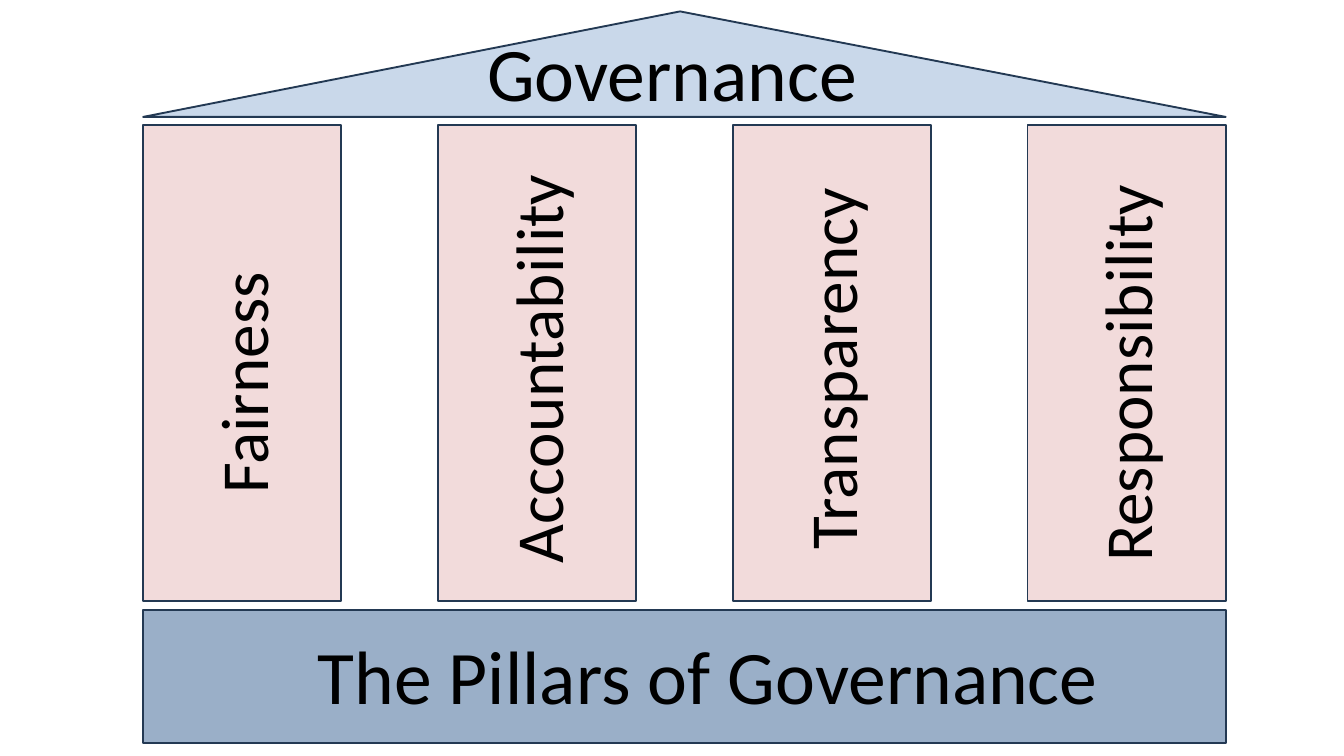
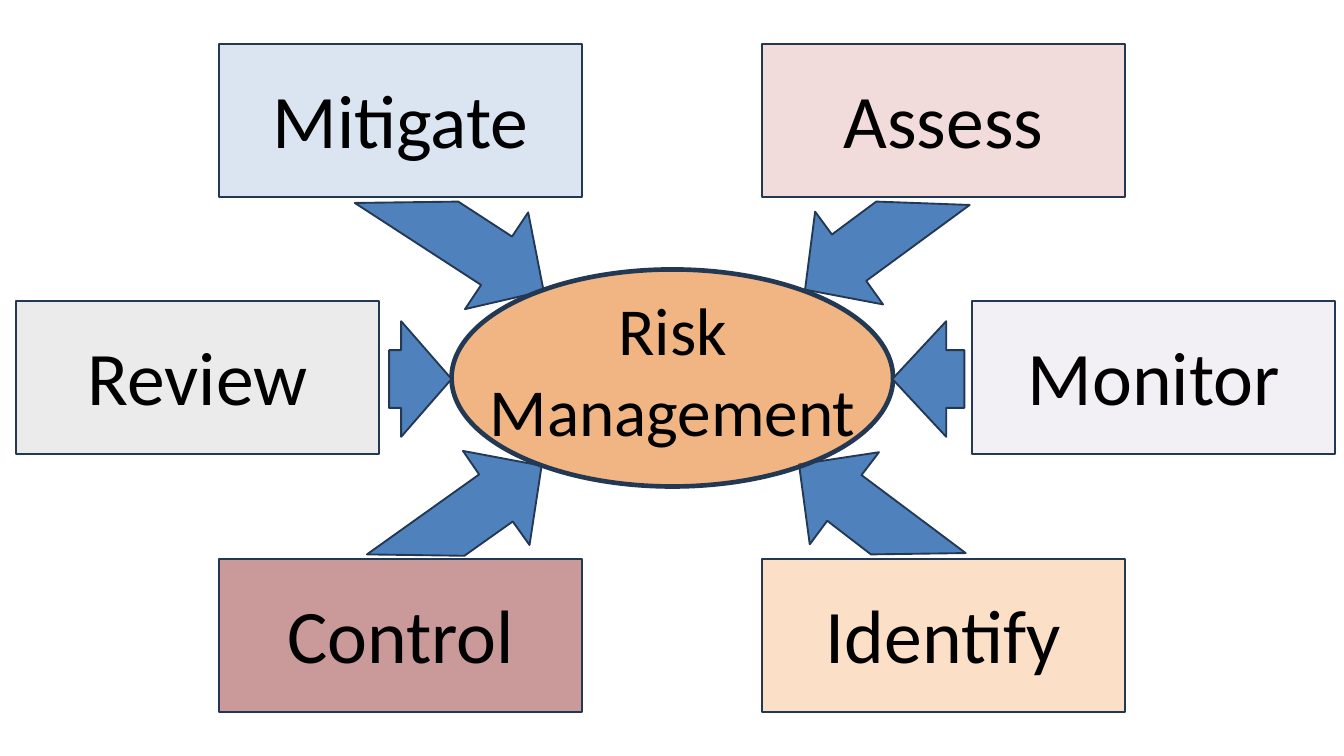
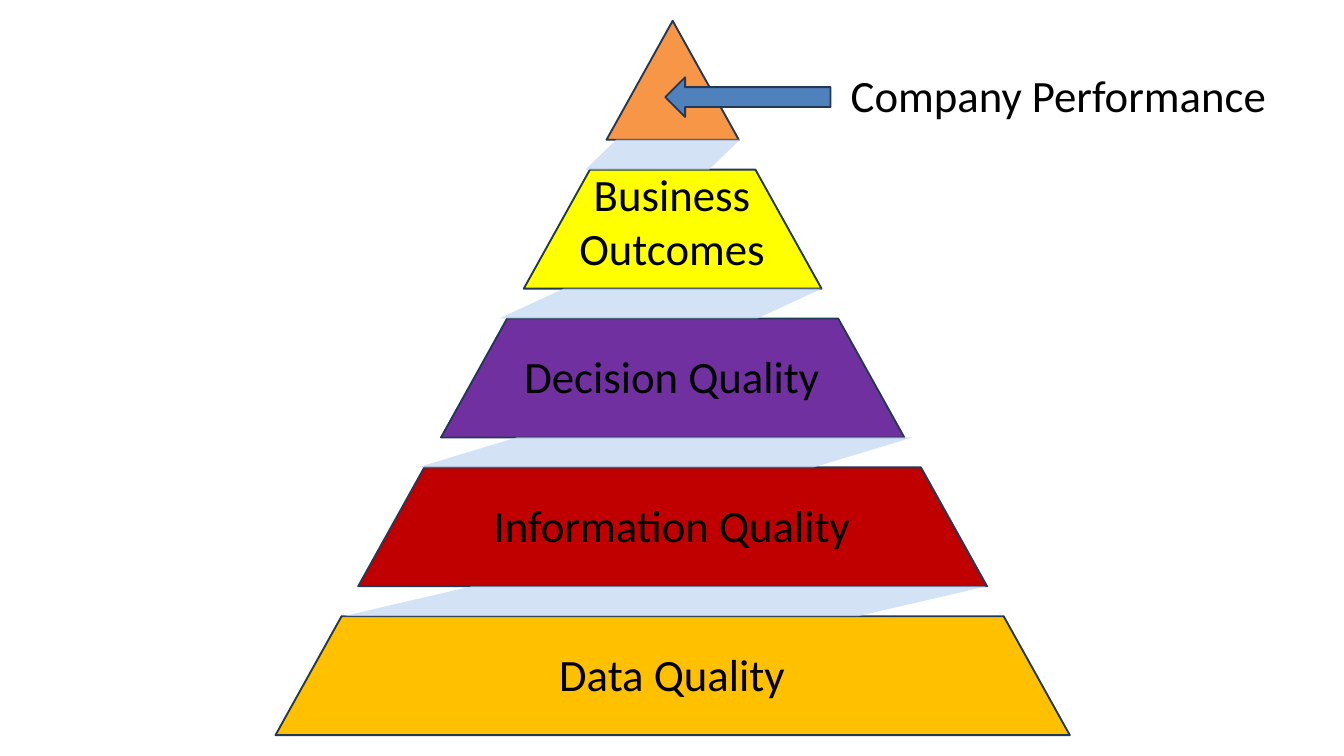
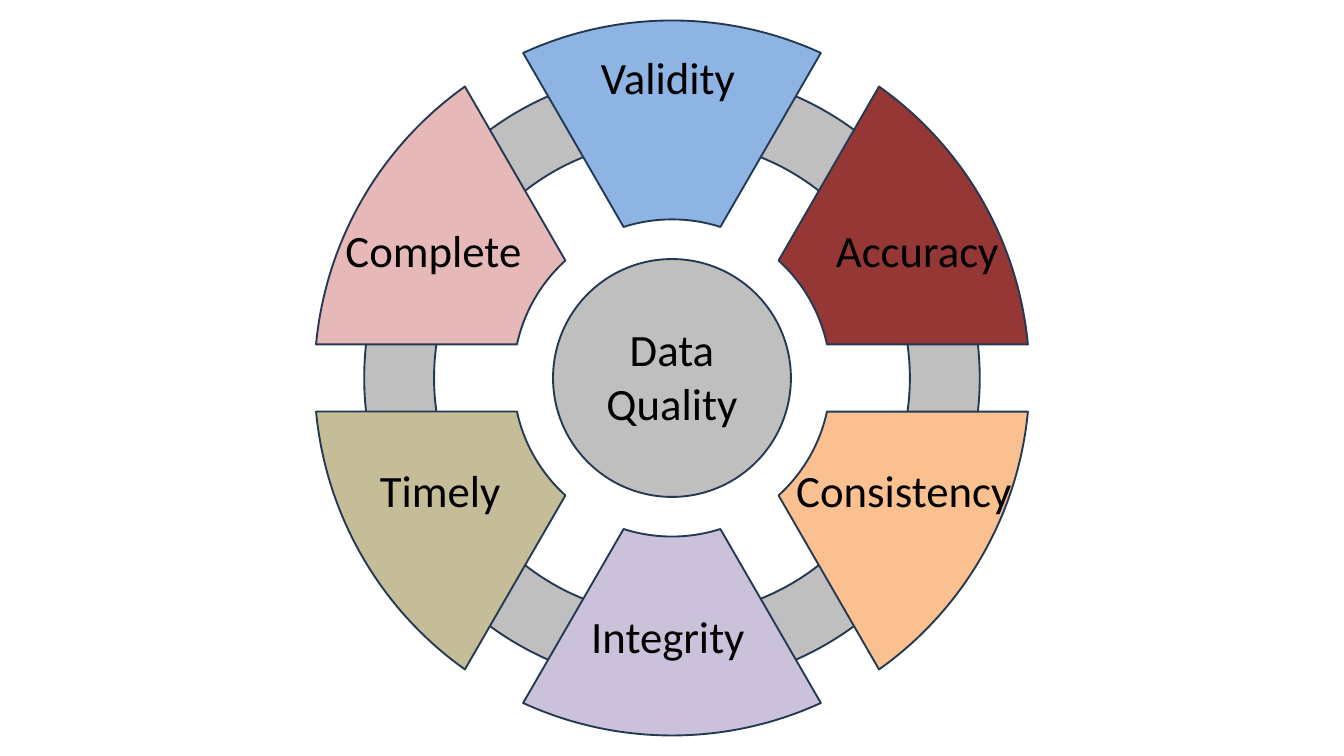
import math

from lxml import etree
from pptx import Presentation
from pptx import util as u
from pptx.dml.color import RGBColor
from pptx.enum import shapes, text
from pptx.oxml import ns

FONT = "Calibri"
BLACK = RGBColor(0x00, 0x00, 0x00)
NAVY = RGBColor(0x23, 0x39, 0x53)
STEEL = RGBColor(0x37, 0x60, 0x92)
BLUE = RGBColor(0x4F, 0x81, 0xBD)
SKY = RGBColor(0x95, 0xB3, 0xD7)
CORNFLOWER = RGBColor(0x8E, 0xB4, 0xE3)
PALE_BLUE = RGBColor(0xB9, 0xCD, 0xE5)
MIST = RGBColor(0xC6, 0xD9, 0xF1)
ROSE = RGBColor(0xE6, 0xB9, 0xB8)
MAROON = RGBColor(0x95, 0x37, 0x35)
PEACH = RGBColor(0xFA, 0xC0, 0x90)
TANGERINE = RGBColor(0xF7, 0x96, 0x46)
BURNT_ORANGE = RGBColor(0xE4, 0x6C, 0x0A)
LAVENDER = RGBColor(0xE6, 0xE0, 0xEC)
LILAC = RGBColor(0xCC, 0xC1, 0xDA)
KHAKI = RGBColor(0xC4, 0xBD, 0x97)
LIGHT_GREY = RGBColor(0xD9, 0xD9, 0xD9)
GREY = RGBColor(0xBF, 0xBF, 0xBF)
YELLOW = RGBColor(0xFF, 0xFF, 0x00)
PURPLE = RGBColor(0x70, 0x30, 0xA0)
RED = RGBColor(0xC0, 0x00, 0x00)
GOLD = RGBColor(0xFF, 0xC0, 0x00)

KIND = shapes.MSO_SHAPE


def turn_point(point, degrees):
    x, y = point
    cosine, sine = math.cos(math.radians(degrees)), math.sin(math.radians(degrees))
    return x * cosine - y * sine, x * sine + y * cosine


def unturn(points, degrees):
    """Points that show in their given places once their shape is rotated."""
    level = [turn_point(point, -degrees) for point in points]
    middle = [(min(axis) + max(axis)) / 2 for axis in zip(*level)]
    centre = turn_point(middle, degrees)
    return [(x - middle[0] + centre[0], y - middle[1] + centre[1]) for x, y in level]


class Painter:
    """Draws outlined shapes and captions on the current slide."""

    def __init__(self):
        self.deck = Presentation()
        self.deck.slide_width = u.Inches(20)
        self.deck.slide_height = u.Inches(11.25)
        self.page = None

    def new_page(self):
        self.page = self.deck.slides.add_slide(self.deck.slide_layouts[6])

    def paint(self, shape, colour, opacity=100, weight=2):
        shape.shadow.inherit = False
        shape.fill.solid()
        shape.fill.fore_color.rgb = colour
        if opacity < 100:
            tint = shape.element.spPr.find(ns.qn("a:solidFill"))[0]
            etree.SubElement(tint, ns.qn("a:alpha"), val=str(opacity * 1000))
        if weight:
            shape.line.color.rgb = NAVY
            shape.line.width = u.Pt(weight)
        else:
            shape.line.fill.background()
        return shape

    def preset(self, kind, left, top, width, height, colour, opacity=100, weight=2):
        frame = [u.Inches(value) for value in (left, top, width, height)]
        shape = self.page.shapes.add_shape(kind, *frame)
        return self.paint(shape, colour, opacity, weight)

    def outline(self, points, colour, rotation=0, curves=()):
        """Draw a closed outline; each index in curves starts a Bezier triple."""
        corners = [(u.Inches(x), u.Inches(y)) for x, y in unturn(points, rotation)]
        builder = self.page.shapes.build_freeform(*corners[0])
        builder.add_line_segments(corners[1:], close=True)
        shape = self.paint(builder.convert_to_shape(), colour)
        shape.rotation = rotation
        lines = list(shape.element.iter(ns.qn("a:lnTo")))
        for first in curves:
            curve = etree.Element(ns.qn("a:cubicBezTo"))
            lines[first - 1].addprevious(curve)
            for line in lines[first - 1:first + 2]:
                curve.append(line[0])
                line.getparent().remove(line)

    def caption(self, words, middle_x, middle_y, width, size, centred=True, rotation=0):
        height = (words.count("\n") + 1) * size * 1.22 / 72 + 0.1
        box = self.page.shapes.add_textbox(
            u.Inches(middle_x - width / 2), u.Inches(middle_y - height / 2),
            u.Inches(width), u.Inches(height))
        box.rotation = rotation
        frame = box.text_frame
        frame.word_wrap = True
        frame.auto_size = text.MSO_AUTO_SIZE.SHAPE_TO_FIT_TEXT
        frame.text = words
        for para in frame.paragraphs:
            if centred:
                para.alignment = text.PP_ALIGN.CENTER
            for span in para.runs:
                span.font.name = FONT
                span.font.size = u.Pt(size)
                span.font.color.rgb = BLACK


def draw_pillars(painter):
    painter.new_page()
    left, total, width = 2.13, 16.11, 2.95
    painter.preset(KIND.RECTANGLE, left, 9.08, total, 1.98, STEEL, 50)
    pillars = [("Fairness", 4.07), ("Accountability", 6.15),
               ("Transparency", 5.74), ("Responsibility", 6.1)]
    pitch = (total - width) / (len(pillars) - 1)
    for index, (name, length) in enumerate(pillars):
        x = left + index * pitch
        painter.preset(KIND.RECTANGLE, x, 1.86, width, 7.09, ROSE, 50)
        painter.caption(name, x + width / 2, 5.41, length, 72, False, 270)
    painter.caption("The Pillars of Governance", 10.76, 10.04, 12.26, 81, False)
    roof = painter.preset(KIND.ISOSCELES_TRIANGLE, left, 0.17, total, 1.57, SKY, 50)
    roof.adjustments[0] = 0.496
    painter.caption("Governance", 10, 1.07, 5.85, 81)


def draw_risk_management(painter):
    painter.new_page()
    diagonal_arrows = [
        (234.6, [(6.89, 6.71), (8.06, 6.93), (7.88, 8.11), (7.63, 7.76),
                 (6.91, 8.27), (5.46, 8.25), (7.13, 7.06)]),
        (127, [(13.08, 6.73), (12.82, 7.07), (14.37, 8.23), (12.96, 8.25),
               (12.31, 7.75), (12.05, 8.1), (11.89, 6.91)]),
        (53.7, [(13.04, 3), (14.43, 3.05), (12.89, 4.18), (13.14, 4.53),
                (11.98, 4.31), (12.13, 3.15), (12.38, 3.49)]),
        (303, [(5.28, 3.02), (6.82, 3), (7.62, 3.52), (7.86, 3.16),
               (8.09, 4.33), (6.92, 4.6), (7.16, 4.24)]),
    ]
    for rotation, points in diagonal_arrows:
        painter.outline(points, BLUE, rotation)

    width, height = 5.4, 2.28
    top, middle, bottom = 0.65, 4.48, 8.32
    cards = [
        ("Identify", 11.34, bottom, PEACH, 3.84),
        ("Assess", 11.34, top, ROSE, 3.47),
        ("Monitor", 14.47, middle, LAVENDER, 4.06),
        ("Review", 0.24, middle, LIGHT_GREY, 4.06),
        ("Control", 3.26, bottom, MAROON, 4.06),
        ("Mitigate", 3.26, top, PALE_BLUE, 4.16),
    ]
    for name, x, y, colour, label_width in cards:
        painter.preset(KIND.RECTANGLE, x, y, width, height, colour, 50)
        painter.caption(name, x + width / 2, y + 1.12, label_width, 81)

    painter.preset(KIND.OVAL, 6.72, 4.01, 6.57, 3.23, BURNT_ORANGE, 50, 5)
    painter.caption("Risk\nManagement", 10.01, 5.51, 7.27, 72)

    for rotation, tail, neck, tip in [(90, 14.35, 14.08, 13.28), (270, 5.79, 5.97, 6.72)]:
        half = [(tip, 0), (neck, 0.86), (neck, 0.43), (tail, 0.43)]
        mirrored = [(x, -y) for x, y in reversed(half[1:])]
        painter.outline([(x, 5.64 + y) for x, y in half + mirrored], BLUE, rotation)


def draw_pyramid(painter):
    painter.new_page()
    axis, apex, pitch, height, slope = 10.01, 0.31, 2.215, 1.77, 0.556
    for index, colour in enumerate([TANGERINE, YELLOW, PURPLE, RED, GOLD]):
        top = index * pitch
        bottom = top + height
        corners = [(-slope * top, top), (slope * top, top),
                   (slope * bottom, bottom), (-slope * bottom, bottom)]
        if index == 0:
            corners = corners[1:]
        painter.outline([(axis + x, apex + y) for x, y in corners], colour)

    ribbons = [(8.71, 2.3), (7.43, 4.8), (6.22, 7.36), (5.11, 9.57)]
    for index, (left, width) in reversed(list(enumerate(ribbons))):
        painter.preset(KIND.FLOWCHART_DATA, left, apex + height + index * pitch,
                       width, pitch - height, MIST, 76, 0)

    labels = [("Data Quality", 10.03, 5.4), ("Information Quality", 7.82, 9.35),
              ("Decision Quality", 5.6, 5.8), ("Business\nOutcomes", 3.3, 3.19)]
    for words, y, width in labels:
        painter.caption(words, 10, y, width, 48)
    painter.caption("Company Performance", 15.75, 1.42, 6.59, 48)
    painter.preset(KIND.LEFT_ARROW, 9.9, 1.15, 2.46, 0.59, BLUE)


def arc(radius, start, end, pieces):
    """Start point of an arc about the origin, then its Bezier triples."""
    sweep = (end - start) / pieces
    reach = 4 / 3 * math.tan(sweep / 4)
    points = [(radius * math.cos(start), radius * math.sin(start))]
    for piece in range(pieces):
        angle = start + (piece + 1) * sweep
        x, y = points[-1]
        end_x, end_y = radius * math.cos(angle), radius * math.sin(angle)
        points += [(x - reach * y, y + reach * x),
                   (end_x + reach * end_y, end_y - reach * end_x), (end_x, end_y)]
    return points


def sector(middle_x, middle_y, degrees, inner=2.36, outer=5.32, half_gap=0.5):
    """Points and curve indices of a ring sector with parallel gaps beside it."""
    pieces = 2 if degrees % 180 == 90 else 1
    angle = math.radians(degrees)
    points, curves = [], []
    for radius, direction in ((outer, 1), (inner, -1)):
        spread = direction * (math.radians(30) - math.asin(half_gap / radius))
        curves += [len(points) + 1 + 3 * piece for piece in range(pieces)]
        points += arc(radius, angle - spread, angle + spread, pieces)
    return [(middle_x + x, middle_y + y) for x, y in points], curves


def draw_data_quality(painter):
    painter.new_page()
    x, y = 10, 5.625
    ring, hub = 4.58, 1.77
    donut = painter.preset(KIND.DONUT, x - ring, y - ring, 2 * ring, 2 * ring, GREY)
    donut.adjustments[0] = 0.1135
    qualities = [
        ("Consistency", PEACH, 30, 13.45, 7.3, 3.52),
        ("Accuracy", MAROON, 330, 13.65, 3.72, 2.8),
        ("Integrity", LILAC, 90, 9.94, 9.46, 2.71),
        ("Timely", KHAKI, 150, 6.55, 7.3, 2.3),
        ("Complete", ROSE, 210, 6.45, 3.72, 3.17),
        ("Validity", CORNFLOWER, 270, 9.94, 1.15, 2.44),
    ]
    for _, colour, degrees, *_ in qualities:
        points, curves = sector(x, y, degrees)
        painter.outline(points, colour, curves=curves)
    painter.preset(KIND.OVAL, x - hub, y - hub, 2 * hub, 2 * hub, GREY)
    painter.caption("Data\nQuality", x, 5.6, 2.44, 48)
    for name, _, _, label_x, label_y, width in qualities:
        painter.caption(name, label_x, label_y, width, 48)


def main():
    painter = Painter()
    draw_pillars(painter)
    draw_risk_management(painter)
    draw_pyramid(painter)
    draw_data_quality(painter)
    painter.deck.save("out.pptx")


if __name__ == "__main__":
    main()
